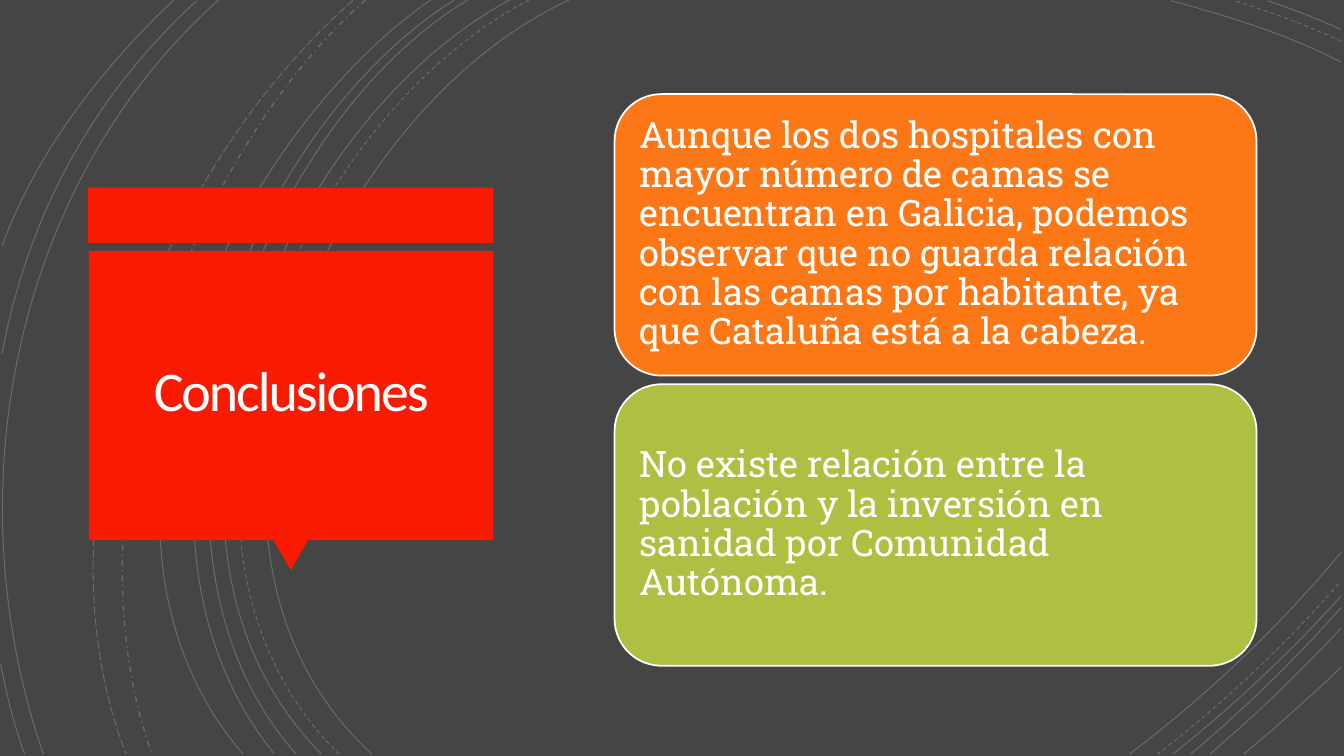
import pptx
import pptx.dml.color
import pptx.enum.dml
import pptx.enum.shapes
import pptx.enum.text
import pptx.oxml.ns
import pptx.util
from lxml import etree

Pt = pptx.util.Pt
qn = pptx.oxml.ns.qn
SHAPES = pptx.enum.shapes.MSO_SHAPE
DASHES = pptx.enum.dml.MSO_LINE
ALIGN = pptx.enum.text.PP_ALIGN
MIDDLE = pptx.enum.text.MSO_ANCHOR.MIDDLE

WHITE, RED, GREY = "FFFFFF", "F81B02", "454545"

# Background arcs: start, two control points and end, as x, y pairs in points
SOLID_ARCS = [
    (406.5, 0, 227, 83, 103, 389, 265.5, 538.5),
    (364, 0, 194.5, 91.5, 79, 386.5, 229.5, 538.5),
    (334, 0, 175.5, 96, 79, 389.5, 211.5, 538.5),
    (324.5, 0, 166.5, 99.5, 70, 384, 196, 538.5),
    (307.5, 0, 156, 106, 38, 381, 173.5, 538.5),
    (156, 0, 8, 133, -33, 353, 31, 538.5),
    (140.5, 0.5, 66, 69, 20, 154, 1.5, 252.5),
    (124, 0, 72, 49.5, 26.5, 108, 1.5, 175.5),
    (0.5, 474, 4.5, 496, 10, 517.5, 17.5, 538.5),
    (958, 44.5, 920, 24.5, 877, 11.5, 836.5, 0.5),
    (958, 21, 941, 13.5, 923.5, 6.5, 905.5, 0.5),
    (807, 538.5, 862, 497, 913.5, 448, 958, 394.5),
    (838, 538.5, 880.5, 504.5, 921.5, 466.5, 958, 425.5),
    (850.5, 538.5, 888.5, 507, 924.5, 471.5, 958, 434),
    (864.5, 538.5, 897, 510.5, 929, 480, 958, 448.5),
    (888.5, 538.5, 912, 519, 935.5, 498, 958, 476.5),
]
DASHED_ARCS = [
    (378, 0, 205, 90, 88.5, 386.5, 242, 538.5),
    (958, 29.5, 934, 18, 907, 8.5, 882, 0.5),
    (826.5, 539, 873.5, 502.5, 918, 461, 957.5, 415.5),
]
DASH_DOT_ARCS = [(261, 0, 126.5, 119.5, 47, 366.5, 108.5, 538.5)]
LONG_DASH_ARCS = [(252.5, 0, 113, 121.5, 21, 359.5, 90, 538.5)]
ARC_STYLES = [
    (SOLID_ARCS, DASHES.SOLID, 0.75),
    (DASHED_ARCS, DASHES.DASH, 0.75),
    (DASH_DOT_ARCS, DASHES.DASH_DOT, 1),
    (LONG_DASH_ARCS, DASHES.LONG_DASH, 0.75),
]

CONCLUSIONS = [
    ("FC7715", "Aunque los dos hospitales con mayor número de camas se encuentran en Galicia, "
               "podemos observar que no guarda relación con las camas por habitante, "
               "ya que Cataluña está a la cabeza."),
    ("AFBF41", "No existe relación entre la población y la inversión en sanidad "
               "por Comunidad Autónoma."),
]


def set_format(target, values):
    for name, value in values.items():
        setattr(target, name, value)


def set_color(color_format, color):
    color_format.rgb = pptx.dml.color.RGBColor.from_string(color)


def set_fill(fill, color):
    fill.solid()
    set_color(fill.fore_color, color)


def add_arc(slide, arc, dash, width):
    points = list(zip(map(Pt, arc[::2]), map(Pt, arc[1::2])))
    builder = slide.shapes.build_freeform(*points[0])
    builder.add_line_segments(points[1:], close=False)
    shape = builder.convert_to_shape()
    # Join the three segments into one cubic curve
    segments = list(shape._element.iter(qn("a:lnTo")))
    curve = etree.SubElement(segments[0].getparent(), qn("a:cubicBezTo"))
    for segment in segments:
        curve.append(segment[0])
        segment.getparent().remove(segment)
    shape.shadow.inherit = False
    shape.fill.background()
    set_fill(shape.line.fill, WHITE)
    set_format(shape.line, {"dash_style": dash, "width": Pt(width)})
    # Thin the line to 20 % opacity
    color = next(shape.line._ln.iter(qn("a:srgbClr")))
    etree.SubElement(color, qn("a:alpha"), val="20000")


def add_block(slide, kind, box, color):
    shape = slide.shapes.add_shape(kind, *map(Pt, box))
    shape.shadow.inherit = False
    set_fill(shape.fill, color)
    shape.line.fill.background()
    return shape


def write_text(shape, text, inset, paragraph_format, font_format, color):
    frame = shape.text_frame
    margins = {f"margin_{side}": Pt(inset) for side in ("left", "top", "right", "bottom")}
    set_format(frame, {"word_wrap": True, "vertical_anchor": MIDDLE, **margins,
                       "auto_size": pptx.enum.text.MSO_AUTO_SIZE.NONE})
    paragraph = frame.paragraphs[0]
    set_format(paragraph, paragraph_format)
    run = paragraph.add_run()
    run.text = text
    set_format(run.font, font_format)
    set_color(run.font.color, color)
    return run


def add_title(slide, text):
    title = slide.shapes.title
    set_format(title, {"left": Pt(70), "top": Pt(185), "width": Pt(276), "height": Pt(194)})
    run = write_text(title, text, 18, {"alignment": ALIGN.CENTER, "line_spacing": 0.85},
                     {"name": "Calibri", "size": Pt(40)}, "FFFEFF")
    run.font._element.set("spc", "-150")
    # Bring the title in front of the red block
    slide.shapes._spTree.append(title._element)


def add_panel(slide, top, color, text):
    panel = add_block(slide, SHAPES.ROUNDED_RECTANGLE, (439, top, 458.5, 201), color)
    set_fill(panel.line.fill, WHITE)
    panel.line.width = Pt(1.25)
    write_text(panel, text, 8, {"alignment": ALIGN.LEFT, "line_spacing": 0.9},
               {"name": "Roboto Slab", "size": Pt(26)}, WHITE)


def main():
    presentation = pptx.Presentation()
    set_format(presentation, {"slide_width": Pt(960), "slide_height": Pt(540)})
    slide = presentation.slides.add_slide(presentation.slide_layouts[5])
    set_fill(slide.background.fill, GREY)

    # Decorative arcs
    for arcs, dash, width in ARC_STYLES:
        for arc in arcs:
            add_arc(slide, arc, dash, width)

    # Red title block with its pointer
    add_block(slide, SHAPES.RECTANGLE, (63, 134, 289.5, 39.5), RED)
    pointer = add_block(slide, SHAPES.ISOSCELES_TRIANGLE, (195.25, 385.75, 25, 21.5), RED)
    pointer.rotation = 180
    add_block(slide, SHAPES.RECTANGLE, (63.5, 179.25, 289, 206.5), RED)
    add_title(slide, "Conclusiones")

    # Conclusion panels
    for index, (color, text) in enumerate(CONCLUSIONS):
        add_panel(slide, 67.25 + 207.25 * index, color, text)

    presentation.save("out.pptx")


if __name__ == "__main__":
    main()
